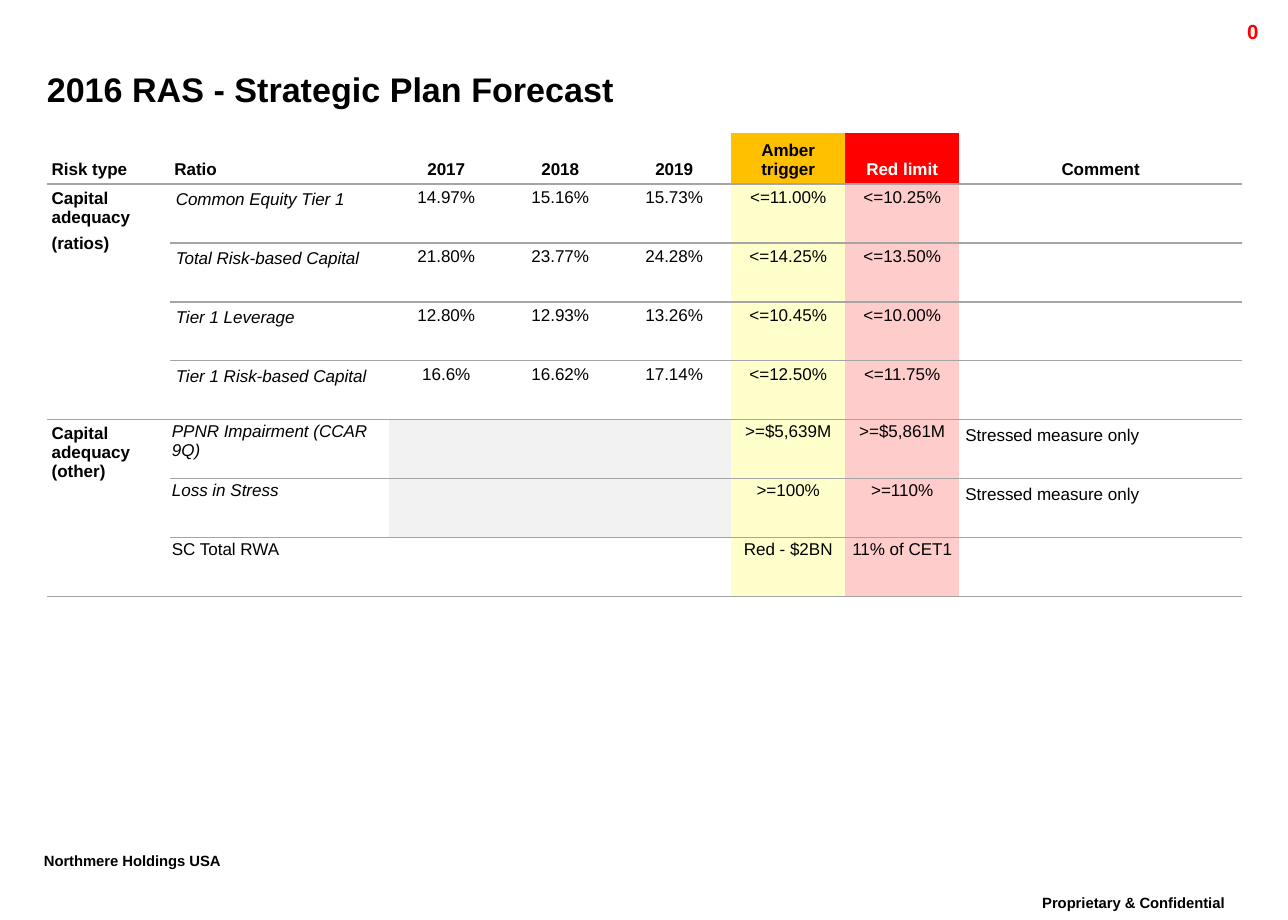
from dataclasses import dataclass

from lxml.etree import SubElement
from pptx import Presentation
from pptx.dml.color import RGBColor
from pptx.enum.text import MSO_ANCHOR, PP_ALIGN
from pptx.oxml import parse_xml
from pptx.oxml.ns import nsdecls, qn
from pptx.util import Cm, Pt


@dataclass(frozen=True)
class Theme:
    font: str = "Arial"
    ink: str = "000000"
    white: str = "FFFFFF"
    red: str = "FF0000"
    amber: str = "FFC000"
    pale_amber: str = "FFFFCC"
    pale_red: str = "FFCCCC"
    grey: str = "F2F2F2"
    rule: str = "A5A5A5"
    title_size: float = 20
    number_size: float = 12
    table_size: float = 10
    footer_size: float = 15


THEME = Theme()
NO_STYLE_NO_GRID = "{2D5ABB26-0587-4C30-8999-92F81FD0307C}"

HEADINGS = ["Risk type", "Ratio", "2017", "2018", "2019",
            "Amber trigger", "Red limit", "Comment"]
RATIOS = [
    ["Common Equity Tier 1", "14.97%", "15.16%", "15.73%", "<=11.00%", "<=10.25%", ""],
    ["Total Risk-based Capital", "21.80%", "23.77%", "24.28%", "<=14.25%", "<=13.50%", ""],
    ["Tier 1 Leverage", "12.80%", "12.93%", "13.26%", "<=10.45%", "<=10.00%", ""],
    ["Tier 1 Risk-based Capital", "16.6%", "16.62%", "17.14%", "<=12.50%", "<=11.75%", ""],
]
STRESSED = "Stressed measure only"
OTHERS = [
    ["PPNR Impairment (CCAR 9Q)", "", "", "", ">=$5,639M", ">=$5,861M", STRESSED],
    ["Loss in Stress", "", "", "", ">=100%", ">=110%", STRESSED],
    ["SC Total RWA", "", "", "", "Red - $2BN", "11% of CET1", ""],
]
GROUPS = [("Capital adequacy\n(ratios)", RATIOS), ("Capital adequacy (other)", OTHERS)]
COLUMN_WIDTHS = [2.54, 4.55] + [2.36] * 5 + [5.86]
RATIO, AMBER, RED, COMMENT = 1, 5, 6, 7


def style_runs(tf, size, color=THEME.ink, bold=False, italic=False):
    for p in tf.paragraphs:
        for r in p.runs:
            r.font.name = THEME.font
            r.font.size = Pt(size)
            r.font.bold = bold
            r.font.italic = italic
            r.font.color.rgb = RGBColor.from_string(color)


def add_label(s, box, text, size, color=THEME.ink, align=PP_ALIGN.LEFT):
    tf = s.shapes.add_textbox(*map(Cm, box)).text_frame
    tf.word_wrap = True
    tf.text = text
    tf.paragraphs[0].alignment = align
    style_runs(tf, size, color, bold=True)
    return tf


def add_title(s, box):
    tf = add_label(s, box, "2016 RAS - Strategic Plan Forecast", THEME.title_size)
    tf.margin_left = tf.margin_right = tf.margin_top = tf.margin_bottom = 0
    tf.vertical_anchor = MSO_ANCHOR.MIDDLE


def add_footer(s, box, text, align):
    """Raised footer text, tightly spaced."""
    tf = add_label(s, box, text, THEME.footer_size, align=align)
    p = tf.paragraphs[0]
    p.line_spacing = 0.86
    p.runs[0].font._element.set("baseline", "30000")


def rule_below(cell):
    line = parse_xml(f'<a:lnB {nsdecls("a")} w="12700"/>')
    SubElement(SubElement(line, qn("a:solidFill")), qn("a:srgbClr")).set("val", THEME.rule)
    cell._tc.get_or_add_tcPr().insert(0, line)


def fill_cell(cell, text, margin, fill=None, align=PP_ALIGN.LEFT, **style):
    cell.margin_left = cell.margin_right = Cm(margin)
    cell.margin_top = cell.margin_bottom = Cm(margin)
    if fill:
        cell.fill.solid()
        cell.fill.fore_color.rgb = RGBColor.from_string(fill)
    else:
        cell.fill.background()
    tf = cell.text_frame
    tf.text = text
    for i, p in enumerate(tf.paragraphs):
        p.alignment = align
        if i:
            p.space_before = Pt(4)
    style_runs(tf, THEME.table_size, **style)


def add_header_row(table):
    fills = {AMBER: THEME.amber, RED: THEME.red}
    for col, heading in enumerate(HEADINGS):
        cell = table.cell(0, col)
        fill_cell(cell, heading, 0.1, fills.get(col), bold=True,
                  align=PP_ALIGN.CENTER if col > RATIO else PP_ALIGN.LEFT,
                  color=THEME.white if col == RED else THEME.ink)
        cell.vertical_anchor = MSO_ANCHOR.BOTTOM
        rule_below(cell)


def add_group(table, top, name, rows):
    """One risk type: a merged name cell and its ratio rows, from row top."""
    last = top + len(rows) - 1
    is_ratios = rows is RATIOS
    name_cell = table.cell(top, 0)
    name_cell.merge(table.cell(last, 0))
    fill_cell(name_cell, name, 0.1, bold=True)
    for cell in (name_cell, table.cell(last, 0)):
        rule_below(cell)
    for row, values in enumerate(rows, top):
        is_stressed = values[-1] == STRESSED
        for col, value in enumerate(values, 1):
            cell = table.cell(row, col)
            is_figure = RATIO < col < COMMENT
            fill = {AMBER: THEME.pale_amber, RED: THEME.pale_red}.get(col)
            if is_stressed and RATIO < col < AMBER:
                fill = THEME.grey
            fill_cell(cell, value, 0.13 if is_ratios or col == COMMENT else 0.05, fill,
                      align=PP_ALIGN.CENTER if is_figure else PP_ALIGN.LEFT,
                      italic=col == RATIO and (is_ratios or is_stressed))
            if is_ratios and is_figure:
                cell.text_frame.paragraphs[0].line_spacing = Pt(10)
            rule_below(cell)


def add_forecast_table(s, box):
    row_count = 1 + sum(len(rows) for _, rows in GROUPS)
    frame = s.shapes.add_table(row_count, len(HEADINGS), *map(Cm, box))
    table = frame.table
    table.first_row = table.horz_banding = False
    table._tbl.tblPr.find(qn("a:tableStyleId")).text = NO_STYLE_NO_GRID
    for column, width in zip(table.columns, COLUMN_WIDTHS):
        column.width = Cm(width)
    for i, row in enumerate(table.rows):
        row.height = Cm(1.22 if i else 1.05)
    add_header_row(table)
    top = 1
    for name, rows in GROUPS:
        add_group(table, top, name, rows)
        top += len(rows)


def main():
    prs = Presentation()
    prs.slide_width, prs.slide_height = Cm(26.67), Cm(19.05)
    s = prs.slides.add_slide(prs.slide_layouts[6])
    add_footer(s, (20.7, 18.42, 5.54, 0.89), "Proprietary & Confidential", PP_ALIGN.CENTER)
    add_footer(s, (0.66, 17.55, 5.5, 0.89), "Northmere Holdings USA", PP_ALIGN.LEFT)
    add_label(s, (23.77, 0.28, 2.54, 0.61), "0", THEME.number_size, THEME.red, PP_ALIGN.RIGHT)
    add_forecast_table(s, (0.97, 2.76, 24.77, 9.59))
    add_title(s, (0.97, 1.24, 24.08, 1.22))
    prs.save("out.pptx")


if __name__ == "__main__":
    main()
